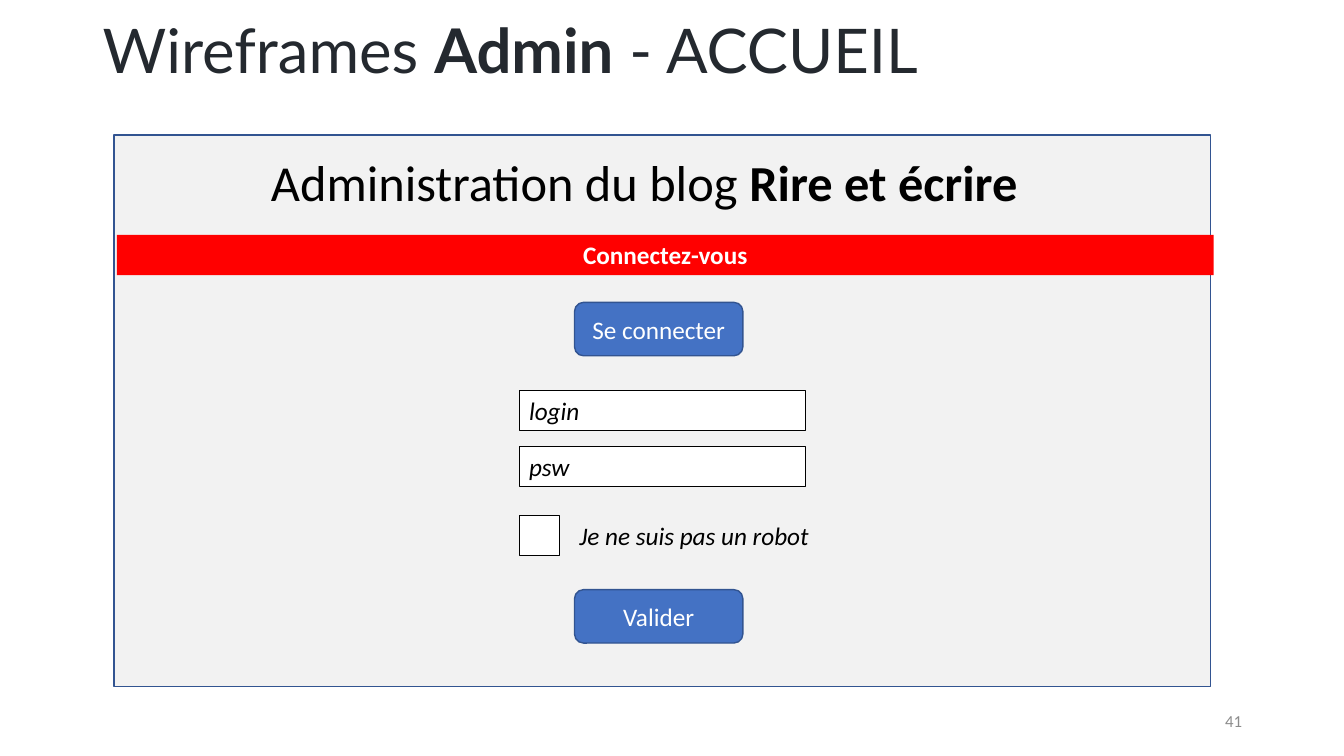
from dataclasses import dataclass

from pptx import Presentation
from pptx.dml.color import RGBColor
from pptx.enum.shapes import MSO_SHAPE
from pptx.enum.text import MSO_ANCHOR, PP_ALIGN
from pptx.util import Inches, Pt

CELL = 0.1  # side of one grid cell, in inches
COLUMNS, ROWS = 133.33, 75


@dataclass(frozen=True)
class Theme:
    """Fonts, type sizes, colours and line widths of the slide."""
    title_font: str = "Lato"
    body_font: str = "Calibri"
    title_size: int = 44
    heading_size: int = 36
    body_size: int = 18
    number_size: int = 12
    ink: str = "24292F"
    black: str = "000000"
    white: str = "FFFFFF"
    grey: str = "8C8C8C"
    page: str = "F2F2F2"
    banner: str = "FF0000"
    button: str = "4472C4"
    outline: str = "325491"
    thin: float = 0.75
    medium: float = 1


def grid(*cells):
    """Turn columns and rows into lengths."""
    return [Inches(cell * CELL) for cell in cells]


class Wireframe:
    """Draws page elements on one slide in one theme."""

    def __init__(self, slide, theme):
        """Keep the slide and its theme."""
        self.slide, self.theme = slide, theme

    def label(self, shape, runs, size=None, color=None, font=None, italic=False,
              align=PP_ALIGN.LEFT, anchor=MSO_ANCHOR.TOP, spacing=1.0):
        """Fill a shape with one paragraph of (text, bold) runs."""
        frame = shape.text_frame
        frame.word_wrap = True
        frame.vertical_anchor = anchor
        paragraph = frame.paragraphs[0]
        paragraph.alignment = align
        paragraph.line_spacing = spacing
        for text, bold in runs:
            run = paragraph.add_run()
            run.text = text
            run.font.name = font or self.theme.body_font
            run.font.size = Pt(size or self.theme.body_size)
            run.font.bold, run.font.italic = bold, italic
            run.font.color.rgb = RGBColor.from_string(color or self.theme.black)

    def text(self, box, runs, **style):
        """Add a text box."""
        self.label(self.slide.shapes.add_textbox(*grid(*box)), runs, **style)

    def block(self, box, fill, line=None, width=None, kind=MSO_SHAPE.RECTANGLE):
        """Add a flat shape, outlined if a line colour is given."""
        shape = self.slide.shapes.add_shape(kind, *grid(*box))
        shape.shadow.inherit = False
        shape.fill.solid()
        shape.fill.fore_color.rgb = RGBColor.from_string(fill)
        if line:
            shape.line.color.rgb = RGBColor.from_string(line)
            shape.line.width = Pt(width)
        else:
            shape.line.fill.background()
        return shape

    def banner(self, box, message):
        """Add a full-width message bar."""
        self.label(self.block(box, self.theme.banner), [(message, True)],
                   color=self.theme.white, align=PP_ALIGN.CENTER)

    def button(self, box, action):
        """Add a rounded button."""
        theme = self.theme
        shape = self.block(box, theme.button, theme.outline, theme.medium,
                           MSO_SHAPE.ROUNDED_RECTANGLE)
        self.label(shape, [(action, False)], color=theme.white,
                   align=PP_ALIGN.CENTER, anchor=MSO_ANCHOR.MIDDLE)

    def field(self, box, hint=None):
        """Add an input box, with an italic hint if given."""
        shape = self.block(box, self.theme.white, self.theme.black, self.theme.thin)
        if hint:
            self.label(shape, [(hint, False)], italic=True)


def main():
    """Build the login page wireframe."""
    deck = Presentation()
    deck.slide_width, deck.slide_height = grid(COLUMNS, ROWS)
    theme = Theme()
    page = Wireframe(deck.slides.add_slide(deck.slide_layouts[6]), theme)

    page.text((9.2, 1.4, 115, 7.9),
              [("Wireframes ", False), ("Admin", True), (" - ACCUEIL", False)],
              size=theme.title_size, color=theme.ink, font=theme.title_font,
              anchor=MSO_ANCHOR.MIDDLE, spacing=0.9)

    page_width, line_height = 108.8, 4
    page.block((11.3, 13.4, page_width, 54.7), theme.page, theme.outline, theme.medium)
    page.text((25.9, 14.5, 87.3, 7.1),
              [("Administration du blog ", False), ("Rire et écrire", True)],
              size=theme.heading_size)
    page.banner((11.6, 23.3, page_width, line_height), "Connectez-vous")

    for top, action in ((30, "Se connecter"), (58.5, "Valider")):
        page.button((57, top, 16.7, 5.3), action)

    form_left, check_top = 51.5, 51.1
    for top, hint in ((38.7, "login"), (44.3, "psw")):
        page.field((form_left, top, 28.4, line_height), hint)
    page.field((form_left, check_top, line_height, line_height))
    page.text((form_left + 5, check_top, 26, line_height),
              [("Je ne suis pas un robot", False)], italic=True)

    page.text((94.2, 69.5, 30, line_height), [("41", False)],
              size=theme.number_size, color=theme.grey,
              align=PP_ALIGN.RIGHT, anchor=MSO_ANCHOR.MIDDLE)
    deck.save("out.pptx")


main()
